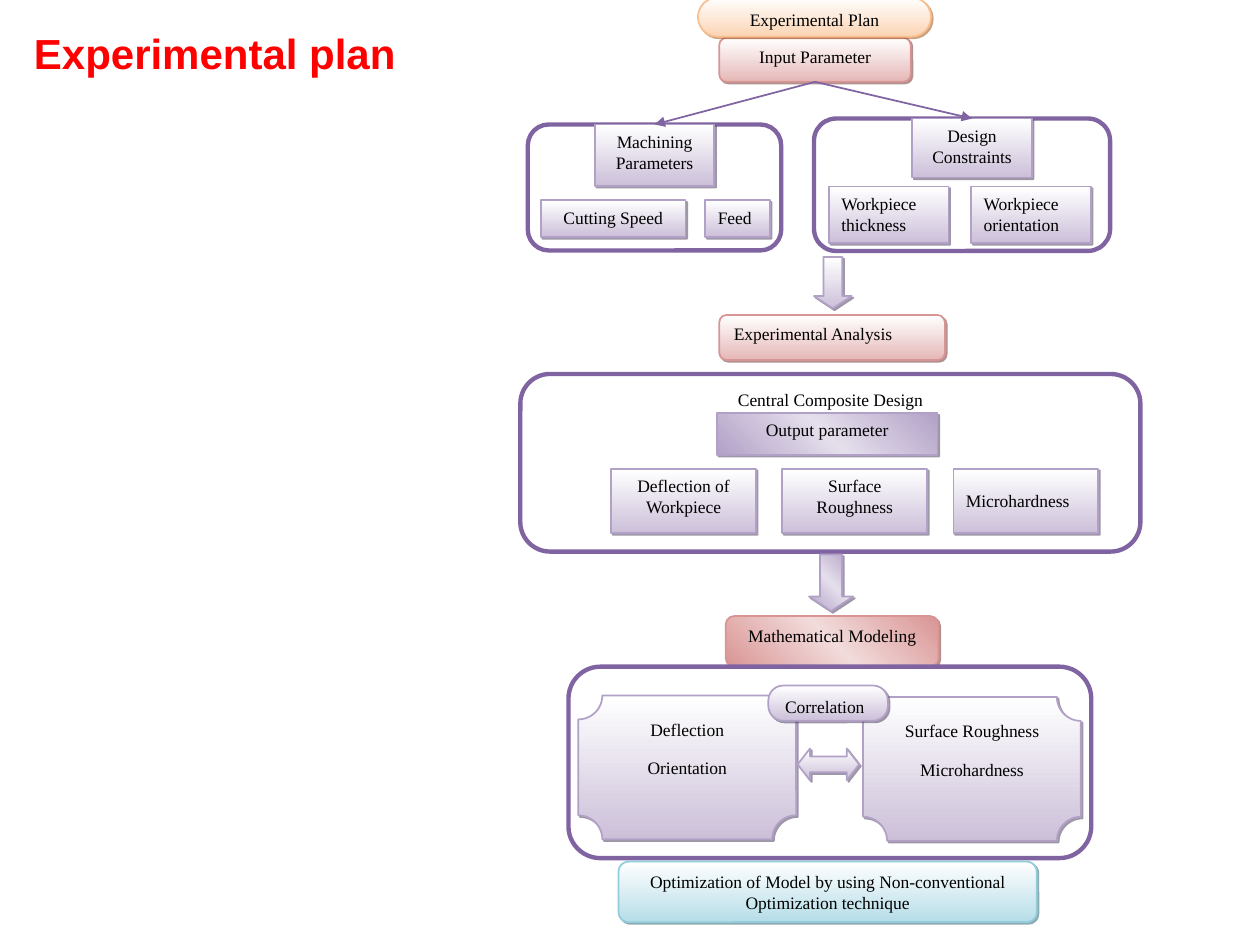
from lxml.etree import SubElement
from pptx import Presentation
from pptx.dml.color import RGBColor
from pptx.enum.shapes import MSO_CONNECTOR, MSO_SHAPE
from pptx.enum.text import MSO_ANCHOR, MSO_AUTO_SIZE, PP_ALIGN
from pptx.oxml.ns import qn
from pptx.util import Cm, Pt

HUES = {
    "red": "FF0000", "black": "000000", "white": "FFFFFF", "frame": "8064A2",
    "rose": "E5B8B7", "rose line": "D99594", "rose pale": "F2DBDB", "rose dark": "622423",
    "peach": "FBD4B4", "peach line": "FABF8F", "peach dark": "974706",
    "lilac": "CCC0D9", "lilac line": "B2A1C7", "lilac pale": "E5DFEC", "lilac dark": "3F3151",
    "aqua": "B6DDE8", "aqua line": "92CDDC", "aqua dark": "205867",
}
TITLE = {"size": Pt(24), "name": "Arial", "bold": True}
BODY = {"size": Pt(10), "name": "Times New Roman", "bold": False}
LEFT, MID = PP_ALIGN.LEFT, PP_ALIGN.CENTER
RECT, ROUND = MSO_SHAPE.RECTANGLE, MSO_SHAPE.ROUNDED_RECTANGLE
DOWN, BOTH, PLAQUE = MSO_SHAPE.DOWN_ARROW, MSO_SHAPE.LEFT_RIGHT_ARROW, MSO_SHAPE.PLAQUE


def style(para, form, hue, align):
    para.alignment = align
    for key, val in form.items():
        setattr(para.font, key, val)
    para.font.color.rgb = RGBColor.from_string(HUES[hue])


def shade(shape, hue, band):
    shape.fill.gradient()
    shape.fill.gradient_angle = 45 if band else 270
    stops = shape._element.spPr.find(qn("a:gradFill")).find(qn("a:gsLst"))
    for stop in list(stops):
        stops.remove(stop)
    edge = hue + " line"
    ramp = [(0, edge), (50, hue + " pale"), (100, edge)] if band else [(0, "white"), (100, hue)]
    for pos, name in ramp:
        stop = SubElement(stops, qn("a:gs"), pos=str(pos * 1000))
        SubElement(stop, qn("a:srgbClr"), val=HUES[name])
    cast = SubElement(shape._element.spPr.find(qn("a:effectLst")), qn("a:outerShdw"),
                      dist=str(Pt(1.4)), dir="2700000", algn="ctr", rotWithShape="0")
    tint = SubElement(cast, qn("a:srgbClr"), val=HUES[hue + " dark"])
    SubElement(tint, qn("a:alpha"), val="50000")


deck = Presentation()
deck.slide_width, deck.slide_height = Cm(25.4), Cm(19.05)
slide = deck.slides.add_slide(deck.slide_layouts[5])

title = slide.shapes.title
title.left, title.top, title.width, title.height = Cm(0.43), Cm(0.56), Cm(9.73), Cm(1.27)
title.text = "Experimental plan"
frame = {"auto_size": MSO_AUTO_SIZE.NONE, "vertical_anchor": MSO_ANCHOR.BOTTOM,
         "margin_bottom": Cm(0.25), "word_wrap": True}
for key, val in frame.items():
    setattr(title.text_frame, key, val)
style(title.text_frame.paragraphs[0], TITLE, "red", LEFT)

outs = ["Deflection of Workpiece", "Surface Roughness", "Microhardness"]
sides = ["Workpiece thickness", "Workpiece orientation"]
parts = [
    ("Input Parameter", ROUND, "rose", MID, 14.5, 0.76, 3.86, 0.89),
    ("Experimental Plan", ROUND, "peach", MID, 14.07, -0.05, 4.7, 0.79),
    ("Experimental Analysis", ROUND, "rose", LEFT, 14.5, 6.35, 4.55, 0.91),
    ("", ROUND, "frame", MID, 16.41, 2.39, 5.97, 2.67),
    ("", ROUND, "frame", MID, 10.64, 2.51, 5.11, 2.54),
    ("Machining Parameters", RECT, "lilac", MID, 11.99, 2.51, 2.41, 1.24),
    ("Design Constraints", RECT, "lilac", MID, 18.39, 2.39, 2.41, 1.19),
    ("Cutting Speed", RECT, "lilac", MID, 10.9, 4.04, 2.92, 0.74),
    ("Feed", RECT, "lilac", LEFT, 14.22, 4.04, 1.3, 0.74),
    *[(text, RECT, "lilac", LEFT, 16.71 + 2.87 * i, 3.76, 2.41, 1.14)
      for i, text in enumerate(sides)],
    ("", DOWN, "lilac", MID, 16.41, 5.18, 0.76, 1.04),
    ("Central Composite Design", ROUND, "frame", MID, 10.49, 7.54, 12.5, 3.58),
    ("Output parameter", RECT, "lilac band", MID, 14.45, 8.33, 4.45, 0.84),
    *[(text, RECT, "lilac", LEFT if i == 2 else MID, 12.32 + 3.45 * i, 9.45, 2.92, 1.3)
      for i, text in enumerate(outs)],
    ("Mathematical Modeling", ROUND, "rose band", MID, 14.63, 12.42, 4.29, 1.02),
    ("", DOWN, "lilac band", MID, 16.31, 11.18, 0.89, 1.14),
    ("", ROUND, "frame", MID, 11.46, 13.44, 10.54, 3.86),
    ("Deflection\nOrientation", PLAQUE, "lilac", MID, 11.66, 14.02, 4.39, 2.9),
    ("", BOTH, "lilac", MID, 16.08, 15.09, 1.24, 0.64),
    ("Surface Roughness\nMicrohardness", PLAQUE, "lilac", MID, 17.4, 14.05, 4.39, 2.9),
    ("Correlation", ROUND, "lilac", LEFT, 15.49, 13.82, 2.41, 0.71),
    ("Optimization of Model by using Non-conventional Optimization technique",
     ROUND, "aqua", MID, 12.47, 17.37, 8.43, 1.22),
]
bends = {"Experimental Plan": 0.5, "Correlation": 0.42}
heads = {DOWN: 0.33, BOTH: 0.39}

nodes = {}
for text, kind, look, align, *box in parts:
    shape = slide.shapes.add_shape(kind, *[Cm(n) for n in box])
    shape.shadow.inherit = False
    hue = look.split()[0]
    edge = "frame" if hue == "frame" else hue + " line"
    shape.line.color.rgb = RGBColor.from_string(HUES[edge])
    shape.line.width = Pt(2.5 if hue == "frame" else 1)
    if hue == "frame":
        shape.fill.solid()
        shape.fill.fore_color.rgb = RGBColor.from_string(HUES["white"])
    else:
        shade(shape, hue, "band" in look)
    if kind in heads:
        shape.adjustments[1] = heads[kind]
    if text in bends:
        shape.adjustments[0] = bends[text]
    if text:
        shape.text_frame.text = text
        shape.text_frame.word_wrap = True
        shape.text_frame.vertical_anchor = MSO_ANCHOR.TOP
        for para in shape.text_frame.paragraphs:
            style(para, BODY, "black", align)
            para.space_after = Pt(10)
        nodes[text] = shape
nodes["Microhardness"].text_frame.vertical_anchor = MSO_ANCHOR.MIDDLE

for goal in ("Machining Parameters", "Design Constraints"):
    arrow = slide.shapes.add_connector(MSO_CONNECTOR.STRAIGHT, 0, 0, 0, 0)
    arrow.begin_connect(nodes["Input Parameter"], 2)
    arrow.end_connect(nodes[goal], 0)
    arrow.line.color.rgb = RGBColor.from_string(HUES["frame"])
    arrow.line.width = Pt(1)
    SubElement(arrow.line._get_or_add_ln(), qn("a:tailEnd"), type="triangle")
    SubElement(arrow._element.spPr, qn("a:effectLst"))

deck.save("out.pptx")
